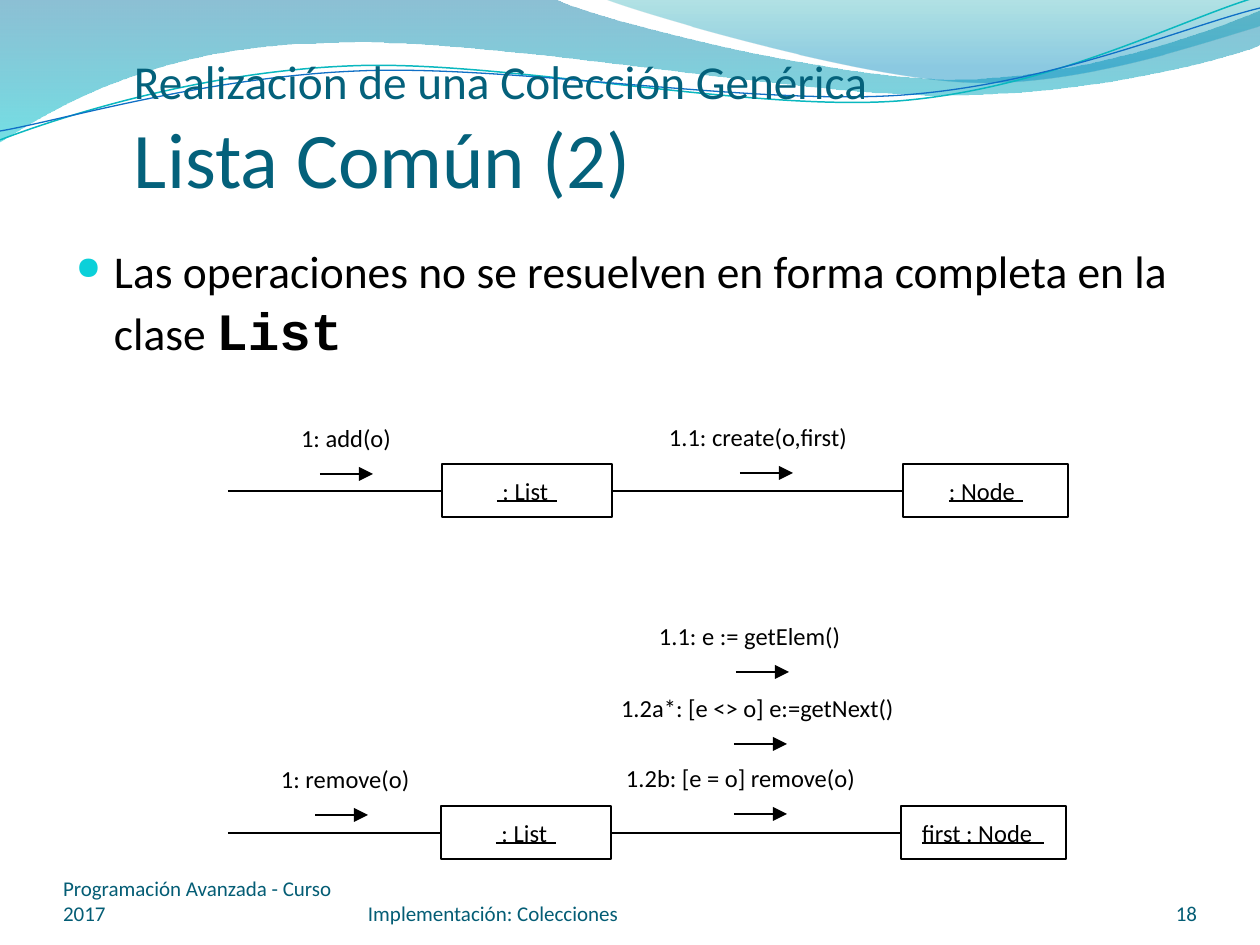
"""Build the slide on the operations of a generic linked list."""
from dataclasses import dataclass
from math import cos, radians, sin

from lxml.etree import SubElement
from pptx import Presentation
from pptx.dml.color import RGBColor
from pptx.enum.shapes import MSO_CONNECTOR, MSO_SHAPE
from pptx.enum.text import MSO_ANCHOR, MSO_AUTO_SIZE, PP_ALIGN
from pptx.oxml.ns import qn
from pptx.util import Emu, Pt

PX = 914400 / 126
TILT = 2.7
BLACK = "000000"
LABEL = {"name": "Calibri", "size": Pt(14), "color": BLACK}
FOOTER = {"name": "Calibri", "size": Pt(12), "color": "045D75"}
TITLE = {"name": "Calibri", "color": "04617B"}


@dataclass
class Wave:
    start: tuple
    segments: list
    stops: tuple = ()
    line: tuple = ()


@dataclass
class Node:
    x: int
    y: int
    w: int
    text: str
    text_x: int
    rule_w: int


@dataclass
class Message:
    text: str
    x: int
    y: int
    w: int
    arrow_x: int


WAVES = [
    Wave((0, 0), [(554, -1), (600, 21, 837, 79, 955, 79), (1075, 79, 1207, 33, 1260, 11),
                  (1261, 45), (1239, 55, 1096, 96, 940, 95), (784, 95, 481, 35, 324, 43),
                  (163, 45, 58, 105, -1, 142), (0, 0)],
         stops=((0, "0074A1", 45), (1, "00C6CF", 55))),
    Wave((604, -1), [(641, 14, 859, 78, 969, 82), (1079, 87, 1211, 40, 1260, 26), (1260, 0),
                     (604, -1)],
         stops=((0, "00A1A9", 30), (0.8, "008BBF", 45))),
    Wave((0, 140), [(60, 117, 199, 72, 349, 66), (498, 59, 747, 112, 898, 101),
                    (1050, 89, 1182, 19, 1257, -3)], line=("0AB8BF", 0.85)),
    Wave((0, 131), [(59, 121, 207, 77, 357, 71), (508, 64, 752, 106, 903, 95),
                    (1053, 84, 1186, 26, 1260, 8)], line=("0F6FC6", 0.75)),
]
ROWS = [
    (Node(442, 464, 170, " : List", 497, 60), Node(903, 464, 165, ": Node", 949, 74)),
    (Node(441, 806, 170, " : List", 496, 60), Node(901, 806, 165, "first : Node", 922, 122)),
]
MESSAGES = [
    Message("1: add(o)", 301, 423, 97, 320),
    Message("1.1: create(o,first)", 669, 422, 192, 740),
    Message("1.1: e := getElem()", 659, 621, 202, 736),
    Message("1.2a*: [e <> o] e:=getNext()", 621, 693, 295, 734),
    Message("1: remove(o)", 281, 764, 139, 315),
    Message("1.2b: [e = o] remove(o)", 626, 763, 247, 734),
]


def px(n: float) -> Emu:
    """Turn pixels into EMU."""
    return Emu(round(n * PX))


def rgb(value: str) -> RGBColor:
    """Turn a hex string into a colour."""
    return RGBColor.from_string(value)


def style_line(line, color: str, width: float) -> None:
    """Set the colour and the width in points of a line."""
    line.color.rgb = rgb(color)
    line.width = Pt(width)


def turn(x: float, y: float, degrees: float) -> tuple:
    """Turn a point clockwise about the middle of the thin curves."""
    a, dx, dy = radians(degrees), x - 629, y - 73
    return px(629 + dx * cos(a) - dy * sin(a)), px(73 + dx * sin(a) + dy * cos(a))


def draw_outline(shapes, start: tuple, segments: list, close: bool, tilt: float = 0):
    """Draw straight and cubic segments as one outline, tilted anticlockwise."""
    start = turn(*start, tilt)
    curves = [[turn(x, y, tilt) for x, y in zip(s[::2], s[1::2])] for s in segments]
    fb = shapes.build_freeform(*start)
    fb.add_line_segments([points[-1] for points in curves], close=close)
    sp = fb.convert_to_shape()
    sp.shadow.inherit = False
    for seg, points in zip(list(sp._element.iter(qn("a:lnTo"))), curves):
        if len(points) == 3:
            seg.tag = qn("a:cubicBezTo")
            for pt in list(seg):
                seg.remove(pt)
            for x, y in points:
                pt = SubElement(seg, qn("a:pt"))
                pt.set("x", str(x - sp.left))
                pt.set("y", str(y - sp.top))
    sp.rotation = -tilt % 360
    return sp


def draw_wave(shapes, wave: Wave) -> None:
    """Draw a gradient band or a thin curve."""
    sp = draw_outline(shapes, wave.start, wave.segments, bool(wave.stops),
                      TILT if wave.line else 0)
    if wave.line:
        sp.fill.background()
        style_line(sp.line, *wave.line)
        return
    sp.line.fill.background()
    sp.fill.gradient()
    sp.fill.gradient_angle = 270
    for stop, (position, color, _) in zip(sp.fill.gradient_stops, wave.stops):
        stop.position = position
        stop.color.rgb = rgb(color)
    for clr, (_, _, alpha) in zip(sp._element.spPr.iter(qn("a:srgbClr")), wave.stops):
        SubElement(clr, qn("a:alpha")).set("val", str(alpha * 1000))


def draw_line(shapes, x1: int, x2: int, y: int, width: float = 0.88) -> None:
    """Draw a level line."""
    cxn = shapes.add_connector(MSO_CONNECTOR.STRAIGHT, px(x1), px(y), px(x2), px(y))
    style_line(cxn.line, BLACK, width)
    SubElement(cxn._element.spPr, qn("a:effectLst"))


def draw_text(shapes, box: tuple, runs: list, margins: tuple = (0, 0, 0, 0), **frame):
    """Draw a paragraph of formatted runs and return it."""
    tf = shapes.add_textbox(*map(px, box)).text_frame
    sides = ("margin_left", "margin_top", "margin_right", "margin_bottom")
    formats = {"word_wrap": True, **dict(zip(sides, map(px, margins))), **frame}
    for key, value in formats.items():
        setattr(tf, key, value)
    p = tf.paragraphs[0]
    for text, fmt in runs:
        if text == "\v":
            p.add_line_break()
            continue
        r = p.add_run()
        r.text = text
        for key, value in fmt.items():
            if key == "color":
                r.font.color.rgb = rgb(value)
            else:
                setattr(r.font, key, value)
    return p


def draw_label(shapes, x: int, y: int, w: int, text: str) -> None:
    """Draw a one-line diagram label."""
    draw_text(shapes, (x, y, w, 29), [(text, LABEL)], word_wrap=False,
              auto_size=MSO_AUTO_SIZE.SHAPE_TO_FIT_TEXT)


def draw_node(shapes, node: Node) -> None:
    """Draw an object box with its underlined name."""
    sp = shapes.add_shape(MSO_SHAPE.RECTANGLE, *map(px, (node.x, node.y, node.w, 53)))
    sp.shadow.inherit = False
    sp.fill.solid()
    sp.fill.fore_color.rgb = rgb("FFFFFF")
    style_line(sp.line, BLACK, 1.25)
    draw_line(shapes, node.text_x, node.text_x + node.rule_w, node.y + 37, 1)
    draw_label(shapes, node.text_x, node.y + 12, node.rule_w, node.text)


def draw_message(shapes, msg: Message) -> None:
    """Draw a message label with its arrow."""
    draw_label(shapes, msg.x, msg.y, msg.w, msg.text)
    x, y = msg.arrow_x, msg.y + 51
    draw_line(shapes, x, x + 41, y)
    sp = draw_outline(shapes, (x + 39, y - 7), [(x + 53, y), (x + 39, y + 7)], True)
    sp.fill.solid()
    sp.fill.fore_color.rgb = rgb(BLACK)
    sp.line.fill.background()


def add_bullet(p) -> None:
    """Give a paragraph a hanging round bullet."""
    pPr = p._p.get_or_add_pPr()
    pPr.set("marL", str(px(38)))
    pPr.set("indent", str(-px(38)))
    SubElement(SubElement(pPr, qn("a:buClr")), qn("a:srgbClr")).set("val", "0BD0D9")
    SubElement(pPr, qn("a:buSzPct")).set("val", "70000")
    SubElement(pPr, qn("a:buChar")).set("char", "●")


def main() -> None:
    """Build and save the slide."""
    prs = Presentation()
    prs.slide_width, prs.slide_height = px(1260), px(945)
    shapes = prs.slides.add_slide(prs.slide_layouts[6]).shapes
    for wave in WAVES:
        draw_wave(shapes, wave)
    draw_text(shapes, (134, 55, 1026, 149),
              [("Realización de una Colección Genérica", {**TITLE, "size": Pt(27)}), ("\v", {}),
               ("Lista Común (2)", {**TITLE, "size": Pt(45)})],
              (0, 6, 0, 0), vertical_anchor=MSO_ANCHOR.BOTTOM)
    p = draw_text(shapes, (63, 237, 1182, 607),
                  [("Las operaciones no se resuelven en forma completa en la clase ",
                    {**LABEL, "size": Pt(26)}),
                   ("List", {"name": "Courier New", "size": Pt(30), "bold": True, "color": BLACK})],
                  (13, 6, 13, 6))
    p.space_before = Pt(5.2)
    add_bullet(p)
    for left, right in ROWS:
        y = left.y + 27
        draw_line(shapes, 228, left.x, y)
        draw_line(shapes, left.x + left.w, right.x, y)
        draw_node(shapes, left)
        draw_node(shapes, right)
    for msg in MESSAGES:
        draw_message(shapes, msg)
    for x, w, text, align in ((63, 294, "Programación Avanzada - Curso 2017", PP_ALIGN.LEFT),
                              (368, 462, "Implementación: Colecciones", PP_ALIGN.LEFT),
                              (1092, 105, "18", PP_ALIGN.RIGHT)):
        p = draw_text(shapes, (x, 876, w, 50), [(text, FOOTER)], vertical_anchor=MSO_ANCHOR.BOTTOM)
        p.alignment = align
    prs.save("out.pptx")


if __name__ == "__main__":
    main()
